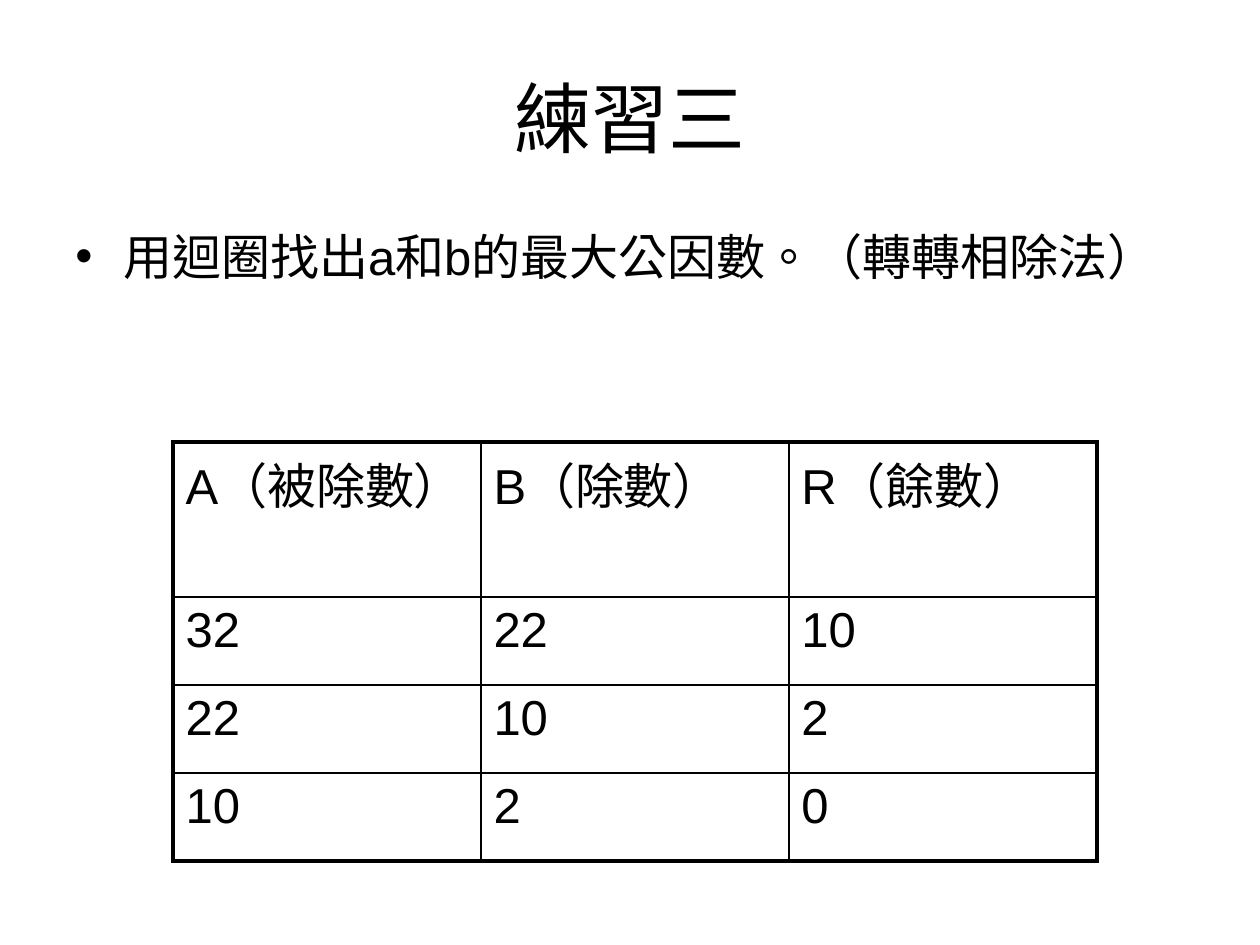
from dataclasses import dataclass

from lxml import etree
from pptx import Presentation
from pptx.dml.color import RGBColor
from pptx.enum.text import MSO_ANCHOR, PP_ALIGN
from pptx.oxml.ns import qn
from pptx.util import Emu, Pt

CENTER, LEFT = PP_ALIGN.CENTER, PP_ALIGN.LEFT
MIDDLE, TOP = MSO_ANCHOR.MIDDLE, MSO_ANCHOR.TOP
PX_PER_INCH = 126
TITLE_ONLY = 5
BLACK = "000000"
FONT = "Arial"
THIN, THICK = 1, 2.25
BULLET_INDENT = 48
COLUMN_WIDTH = 308
ROW_HEIGHTS = (155, 88, 88, 88)
DIVISION_STEPS = (
    ("A（被除數）", "B（除數）", "R（餘數）"),
    ("32", "22", "10"),
    ("22", "10", "2"),
    ("10", "2", "0"),
)


@dataclass(frozen=True)
class Box:
    left: int
    top: int
    width: int
    height: int

    def emu(self) -> tuple[Emu, ...]:
        return tuple(map(px, (self.left, self.top, self.width, self.height)))


TITLE_BOX = Box(63, 38, 1134, 157)
TASK_BOX = Box(63, 220, 1123, 624)
TABLE_BOX = Box(173, 442, 3 * COLUMN_WIDTH, sum(ROW_HEIGHTS))


def px(length: int) -> Emu:
    return Emu(round(length * 914400 / PX_PER_INCH))


def color(value: str) -> RGBColor:
    return RGBColor.from_string(value)


def write_text(text_frame, text: str, size: int, align=LEFT, anchor=TOP):
    """Fill the frame with one formatted paragraph and return it."""
    text_frame.word_wrap = True
    text_frame.vertical_anchor = anchor
    paragraph = text_frame.paragraphs[0]
    paragraph.alignment = align
    run = paragraph.add_run()
    run.text = text
    for name, value in {"name": FONT, "size": Pt(size), "bold": False}.items():
        setattr(run.font, name, value)
    run.font.color.rgb = color(BLACK)
    run.font._element.set("lang", "zh-TW")
    return paragraph


def add_bullet(paragraph) -> None:
    properties = paragraph._p.get_or_add_pPr()
    properties.set("marL", str(px(BULLET_INDENT)))
    properties.set("indent", str(-px(BULLET_INDENT)))
    etree.SubElement(properties, qn("a:buFont"), typeface=FONT)
    etree.SubElement(properties, qn("a:buChar"), char="•")


def set_borders(cell, widths: dict[str, float]) -> None:
    properties = cell._tc.get_or_add_tcPr()
    for side, width in widths.items():
        line = etree.SubElement(properties, qn(f"a:ln{side}"), w=str(Pt(width)))
        fill = etree.SubElement(line, qn("a:solidFill"))
        etree.SubElement(fill, qn("a:srgbClr"), val=BLACK)


def add_division_table(slide) -> None:
    row_count, column_count = len(DIVISION_STEPS), len(DIVISION_STEPS[0])
    table = slide.shapes.add_table(row_count, column_count, *TABLE_BOX.emu()).table
    table.first_row = table.horz_banding = False
    for column in table.columns:
        column.width = px(COLUMN_WIDTH)
    for row_index, (row, height) in enumerate(zip(table.rows, ROW_HEIGHTS)):
        row.height = px(height)
        for column_index, cell in enumerate(row.cells):
            outer_sides = {
                "L": column_index == 0,
                "R": column_index == column_count - 1,
                "T": row_index == 0,
                "B": row_index == row_count - 1,
            }
            set_borders(cell, {side: THICK if outer else THIN
                               for side, outer in outer_sides.items()})
            cell.fill.background()
            write_text(cell.text_frame, DIVISION_STEPS[row_index][column_index], 28)


def main() -> None:
    presentation = Presentation()
    presentation.slide_width, presentation.slide_height = px(1260), px(945)
    slide = presentation.slides.add_slide(presentation.slide_layouts[TITLE_ONLY])

    title = slide.shapes.title
    title.left, title.top, title.width, title.height = TITLE_BOX.emu()
    write_text(title.text_frame, "練習三", 44, CENTER, MIDDLE)

    task = slide.shapes.add_textbox(*TASK_BOX.emu())
    paragraph = write_text(
        task.text_frame, "用迴圈找出a和b的最大公因數。（轉轉相除法）", 28)
    add_bullet(paragraph)

    add_division_table(slide)
    presentation.save("out.pptx")


if __name__ == "__main__":
    main()
